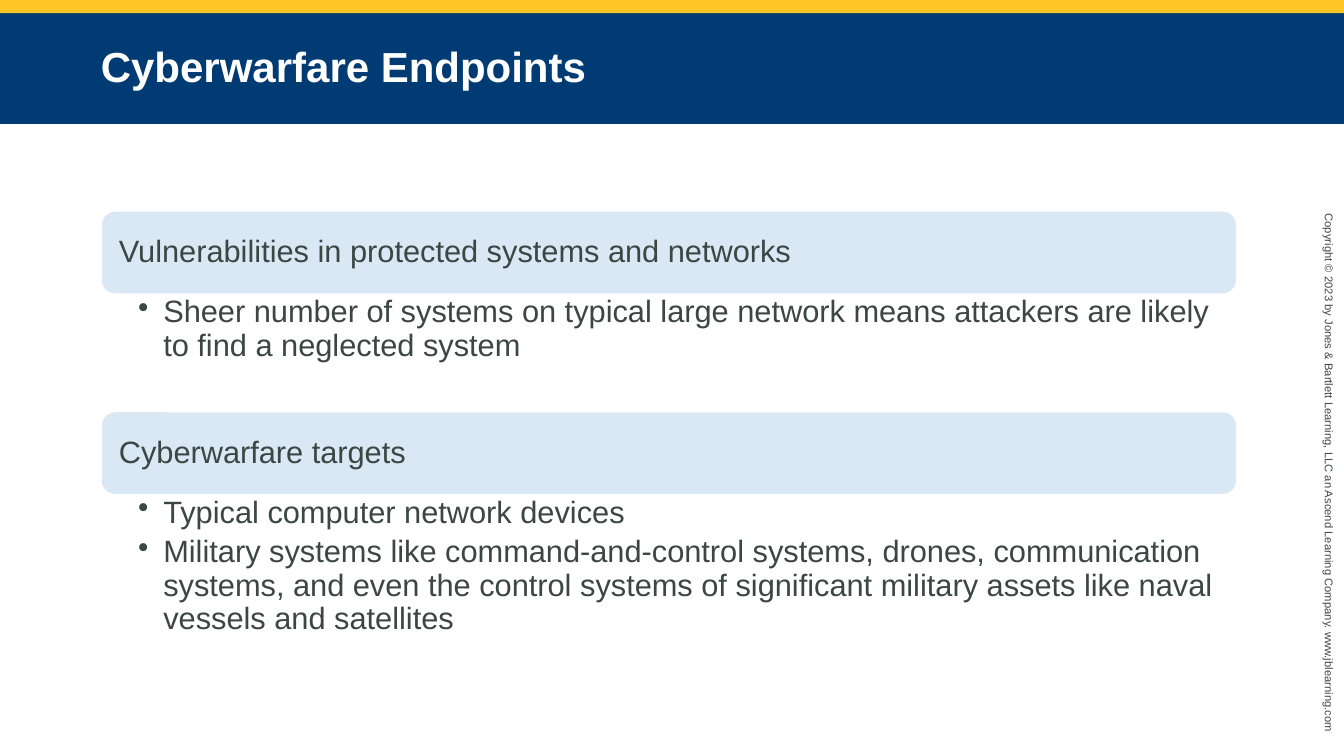
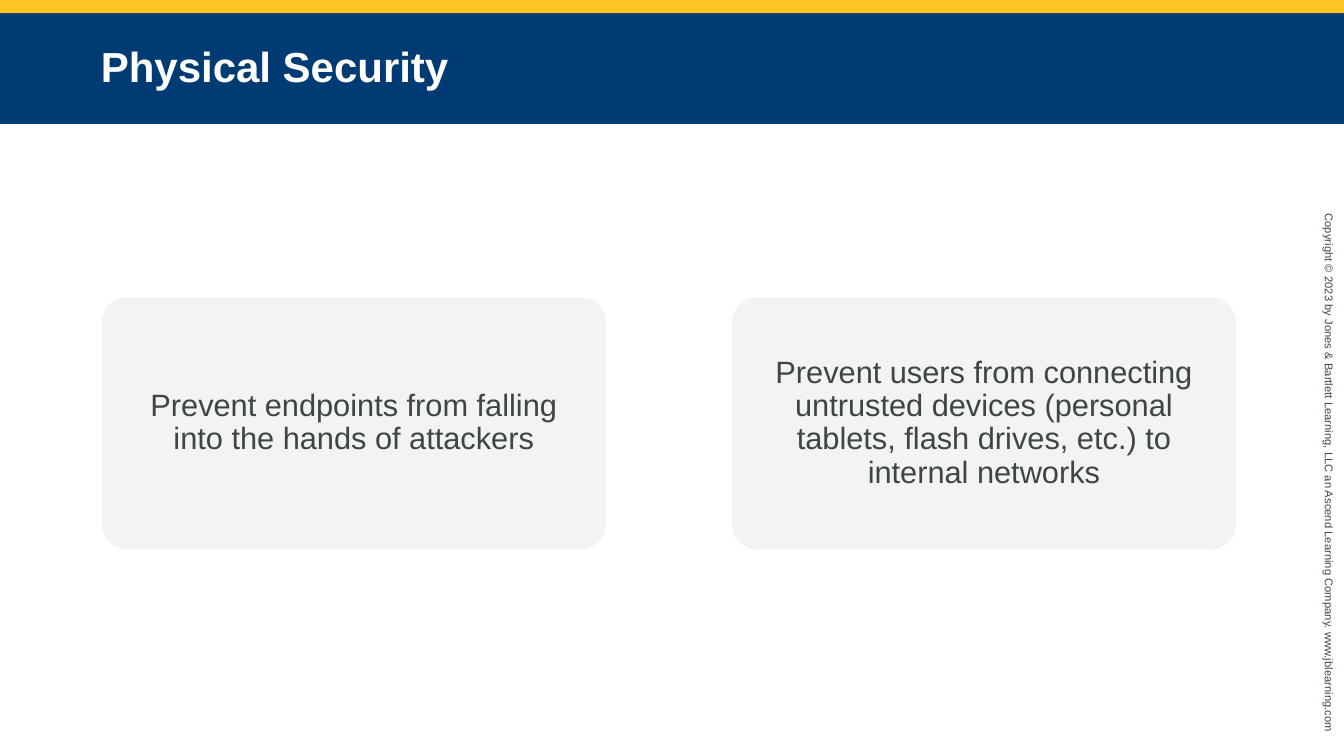
from lxml import etree
from pptx import Presentation
from pptx.dml.color import RGBColor
from pptx.enum import shapes, text
from pptx.oxml import ns
from pptx.util import Inches, Pt

NAVY = RGBColor(0x00, 0x3B, 0x74)
GOLD = RGBColor(0xFF, 0xC4, 0x25)
PALE_BLUE = RGBColor(0xD9, 0xE8, 0xF4)
PALE_GREY = RGBColor(0xF2, 0xF2, 0xF2)
SLATE = RGBColor(0x3C, 0x47, 0x43)
WHITE = RGBColor(0xFF, 0xFF, 0xFF)

FONT = "Arial"
BODY_SIZE = 22
WIDTH, HEIGHT = 13.33, 7.5
LEFT, CONTENT_WIDTH = 1.01, 11.25
COPYRIGHT = ("Copyright © 2023 by Jones & Bartlett Learning, LLC an Ascend "
             "Learning Company. www.jblearning.com")


class Deck:
    """Holds the shared style and the slide being built."""

    def __init__(self):
        self.deck = Presentation()
        self.deck.slide_width = Inches(WIDTH)
        self.deck.slide_height = Inches(HEIGHT)
        self.page = None

    def new_page(self, title):
        self.page = self.deck.slides.add_slide(self.deck.slide_layouts[5])
        self.title(title)
        self.shape(shapes.MSO_SHAPE.RECTANGLE, 0, 0, WIDTH, 0.13, GOLD)
        self.copyright()

    def title(self, words):
        box = self.page.shapes.title
        self.place(box, 0, 0.13, WIDTH, 1.1)
        box.fill.solid()
        box.fill.fore_color.rgb = NAVY
        frame = self.frame(box, (1, 0.05, 1, 0.05), text.MSO_ANCHOR.MIDDLE)
        self.fill_para(frame.paragraphs[0], words, 30, WHITE, bold=True, line=0.95)

    def copyright(self):
        box = self.page.shapes.add_textbox(
            Inches(10.44), Inches(4.64), Inches(5.48), Inches(0.24))
        box.rotation = 90
        frame = self.frame(box, (0.1, 0.05, 0.1, 0.05))
        self.fill_para(frame.paragraphs[0], COPYRIGHT, 8, line=1)

    def shape(self, kind, left, top, width, height, color):
        shape = self.page.shapes.add_shape(
            kind, Inches(left), Inches(top), Inches(width), Inches(height))
        shape.shadow.inherit = False
        shape.fill.solid()
        shape.fill.fore_color.rgb = color
        shape.line.fill.background()
        return shape

    def heading(self, top, words):
        """Full-width rounded bar with a heading."""
        bar = self.shape(shapes.MSO_SHAPE.ROUNDED_RECTANGLE,
                         LEFT, top, CONTENT_WIDTH, 0.81, PALE_BLUE)
        frame = self.frame(bar, (0.13,) * 4, text.MSO_ANCHOR.MIDDLE)
        self.fill_para(frame.paragraphs[0], words)

    def bullets(self, top, height, items):
        box = self.page.shapes.add_textbox(
            Inches(LEFT), Inches(top), Inches(CONTENT_WIDTH), Inches(height))
        frame = self.frame(box, (0.36, 0.03, 0.17, 0.03))
        for number, item in enumerate(items):
            para = frame.add_paragraph() if number else frame.paragraphs[0]
            para.level = 1
            properties = para._p.get_or_add_pPr()
            properties.set("marL", str(Inches(0.25)))
            properties.set("indent", str(-Inches(0.25)))
            etree.SubElement(properties, ns.qn("a:buChar"), char="•")
            self.fill_para(para, item)
            para.space_after = Pt(0.2 * BODY_SIZE)

    def card(self, left, words):
        """Translucent rounded card with centred text."""
        card = self.shape(shapes.MSO_SHAPE.ROUNDED_RECTANGLE,
                          left, 2.95, 5, 2.5, PALE_GREY)
        card.adjustments[0] = 0.1
        color = card._element.spPr.find(
            ns.qn("a:solidFill") + "/" + ns.qn("a:srgbClr"))
        etree.SubElement(color, ns.qn("a:alpha"), val="90000")
        frame = self.frame(card, (0.13, 0.1, 0.13, 0.1), text.MSO_ANCHOR.MIDDLE)
        self.fill_para(frame.paragraphs[0], words, align=text.PP_ALIGN.CENTER)

    @staticmethod
    def place(box, left, top, width, height):
        box.left, box.top = Inches(left), Inches(top)
        box.width, box.height = Inches(width), Inches(height)

    @staticmethod
    def frame(box, insets, anchor=text.MSO_ANCHOR.TOP):
        frame = box.text_frame
        frame.word_wrap = True
        frame.auto_size = text.MSO_AUTO_SIZE.NONE
        frame.vertical_anchor = anchor
        (frame.margin_left, frame.margin_top,
         frame.margin_right, frame.margin_bottom) = map(Inches, insets)
        return frame

    @staticmethod
    def fill_para(para, words, size=BODY_SIZE, color=SLATE, bold=False,
                  line=0.9, align=text.PP_ALIGN.LEFT):
        para.add_run().text = words
        para.alignment = align
        para.line_spacing = line
        para.font.name = FONT
        para.font.size = Pt(size)
        para.font.bold = bold
        para.font.color.rgb = color


def main():
    deck = Deck()

    # Endpoints: two headings, each with its bullets
    deck.new_page("Cyberwarfare Endpoints")
    deck.heading(2.1, "Vulnerabilities in protected systems and networks")
    deck.bullets(2.91, 1.18, [
        "Sheer number of systems on typical large network means attackers "
        "are likely to find a neglected system"])
    deck.heading(4.09, "Cyberwarfare targets")
    deck.bullets(4.9, 1.4, [
        "Typical computer network devices",
        "Military systems like command-and-control systems, drones, "
        "communication systems, and even the control systems of significant "
        "military assets like naval vessels and satellites"])

    # Physical security: two cards, flush with the content edges
    deck.new_page("Physical Security")
    deck.card(LEFT, "Prevent endpoints from falling into the hands of attackers")
    deck.card(LEFT + CONTENT_WIDTH - 5,
              "Prevent users from connecting untrusted devices (personal "
              "tablets, flash drives, etc.) to internal networks")

    deck.deck.save("out.pptx")


if __name__ == "__main__":
    main()
